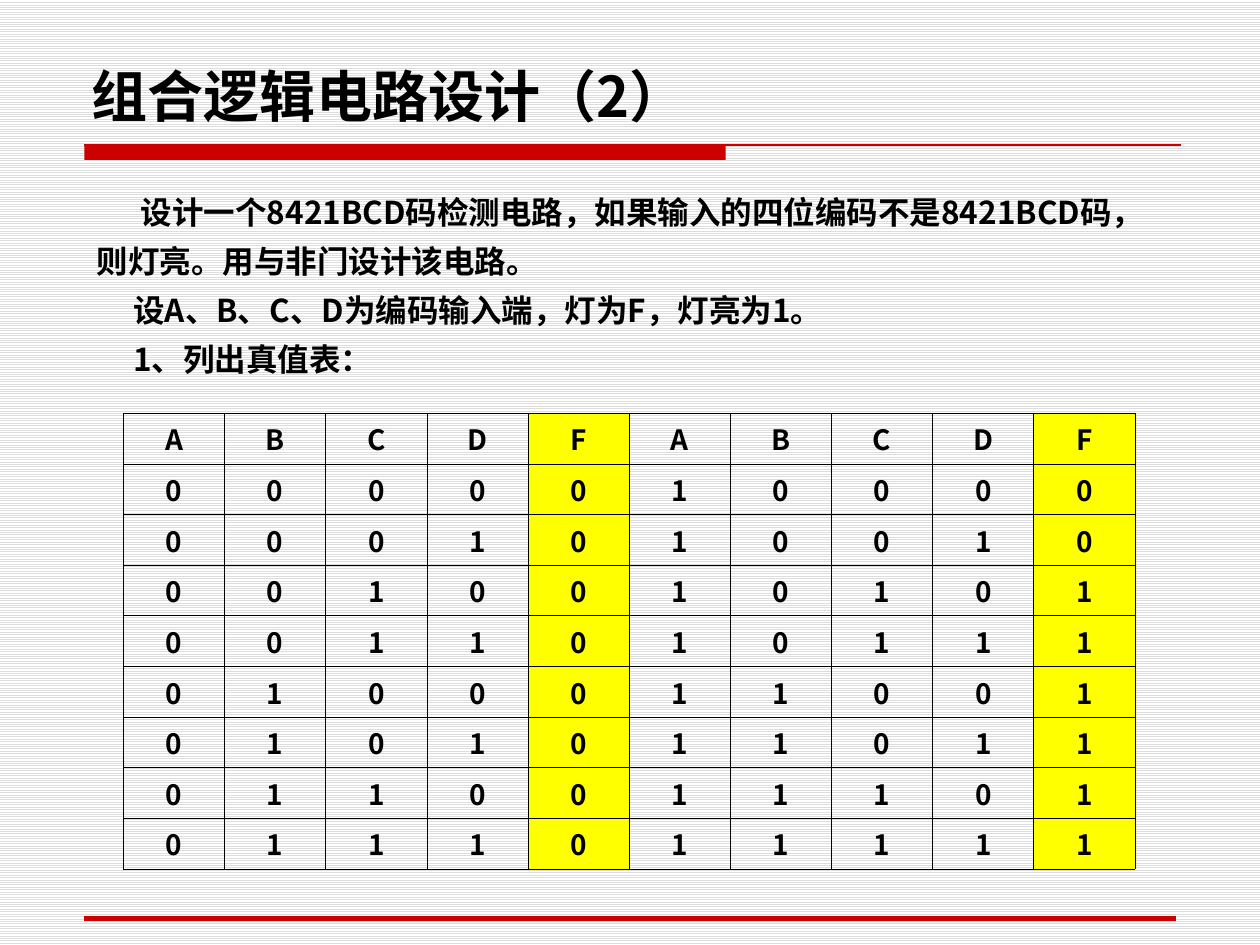
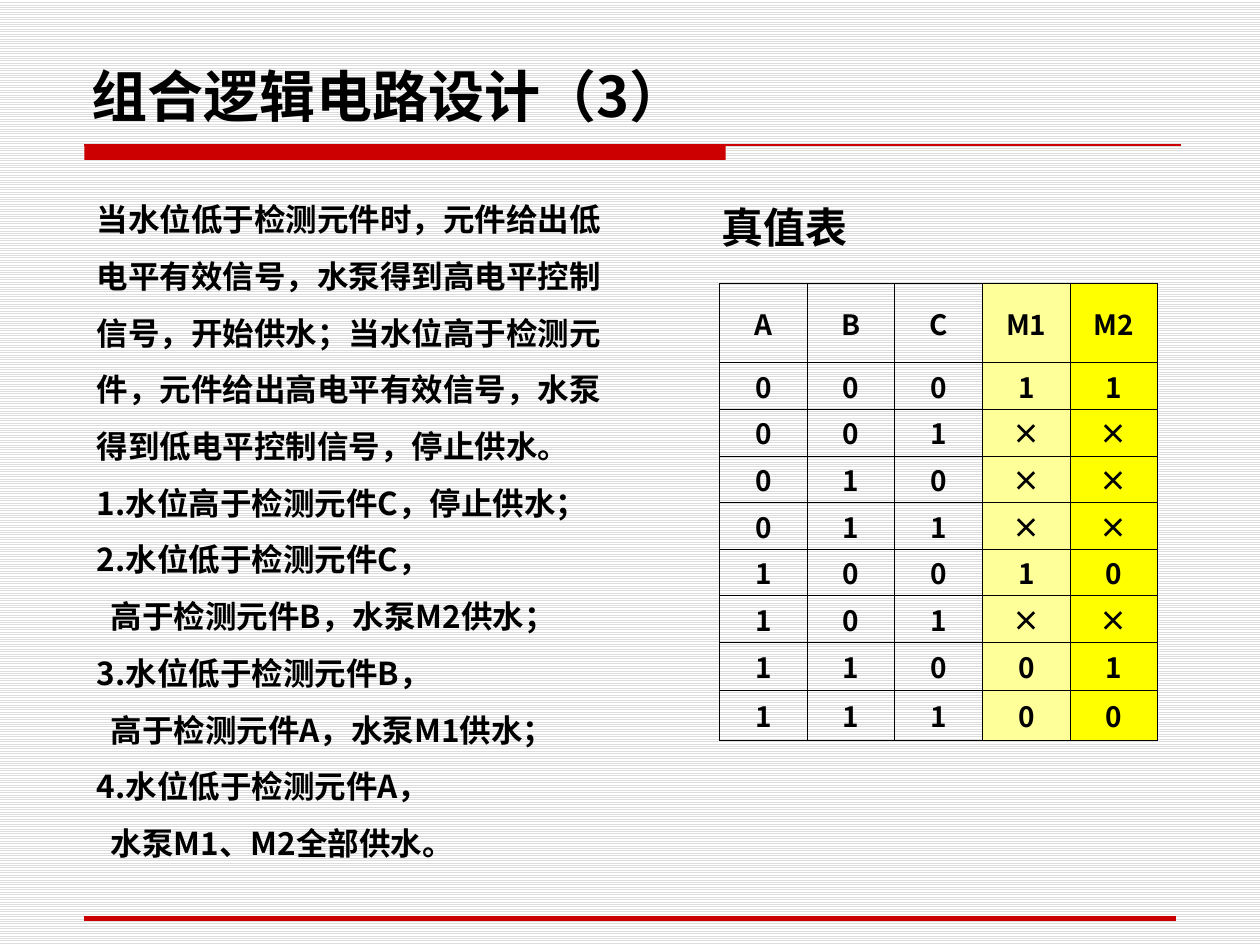
from dataclasses import dataclass
from itertools import product

from lxml.etree import SubElement
from pptx import Presentation
from pptx.dml.color import RGBColor
from pptx.enum.dml import MSO_PATTERN
from pptx.enum.shapes import MSO_CONNECTOR, MSO_SHAPE
from pptx.enum.text import MSO_ANCHOR, MSO_AUTO_SIZE, PP_ALIGN
from pptx.oxml.ns import qn
from pptx.util import Inches, Pt


@dataclass(frozen=True)
class Theme:
    ink: str = "000000"
    red: str = "CC0000"
    yellow: str = "FFFF00"
    pale_yellow: str = "FFFF99"
    stripe: str = "DDDDDD"
    paper: str = "FFFFFF"
    font: str = "Noto Sans CJK SC"
    caption_font: str = "DejaVu Sans"
    title_size: int = 32
    caption_size: int = 24
    body_size: int = 18
    cell_size: int = 16


THEME = Theme()


def rgb(value):
    return RGBColor.from_string(value)


def write(frame, *lines, size=THEME.body_size, font=THEME.font, align=PP_ALIGN.LEFT,
          spacing=None, before=None, indents=()):
    """Fill a text frame with one paragraph per line."""
    for index, line in enumerate(lines):
        paragraph = frame.paragraphs[0] if index == 0 else frame.add_paragraph()
        paragraph.alignment = align
        if spacing:
            paragraph.line_spacing = spacing
        if before:
            paragraph.space_before = Pt(before)
        if indents and indents[index]:
            paragraph._p.get_or_add_pPr().set("indent", str(Inches(indents[index])))
        run = paragraph.add_run()
        run.text = line
        run.font.size = Pt(size)
        run.font.bold = True
        run.font.color.rgb = rgb(THEME.ink)
        run.font.name = font
        east_asian = SubElement(run._r.get_or_add_rPr(), qn("a:ea"))
        east_asian.set("typeface", font)


def add_text(slide, box, *lines, wrap=True, **text_format):
    frame = slide.shapes.add_textbox(*map(Inches, box)).text_frame
    frame.word_wrap = wrap
    frame.auto_size = MSO_AUTO_SIZE.SHAPE_TO_FIT_TEXT
    write(frame, *lines, **text_format)


def add_rule(slide, left, right, y, weight):
    rule = slide.shapes.add_connector(
        MSO_CONNECTOR.STRAIGHT, Inches(left), Inches(y), Inches(right), Inches(y))
    rule.line.color.rgb = rgb(THEME.red)
    rule.line.width = Pt(weight)
    SubElement(rule._element.spPr, qn("a:effectLst"))


def add_title_band(slide, left, top, width):
    """Thick red bar under the title, continued by a thin line."""
    bar = slide.shapes.add_shape(
        MSO_SHAPE.RECTANGLE, *map(Inches, (left, top, 5.09, 0.12)))
    bar.shadow.inherit = False
    bar.fill.solid()
    bar.fill.fore_color.rgb = rgb(THEME.red)
    bar.line.fill.background()
    add_rule(slide, left, left + width, top, 0.75)


def add_page(prs, heading):
    """Striped page with title, title band and footer line."""
    slide = prs.slides.add_slide(prs.slide_layouts[5])
    stripes = slide.background.fill
    stripes.patterned()
    stripes.pattern = MSO_PATTERN.LIGHT_HORIZONTAL
    stripes.fore_color.rgb = rgb(THEME.stripe)
    stripes.back_color.rgb = rgb(THEME.paper)
    add_title_band(slide, 0.67, 1.15, 8.7)
    add_rule(slide, 0.67, 9.33, 7.29, 3)

    title = slide.shapes.title
    title.left, title.top, title.width, title.height = map(Inches, (0.63, 0.33, 8.75, 0.74))
    title.text_frame.auto_size = MSO_AUTO_SIZE.NONE
    title.text_frame.vertical_anchor = MSO_ANCHOR.BOTTOM
    write(title.text_frame, heading, size=THEME.title_size)
    return slide


def set_borders(cell):
    """Thin black lines on all four sides, placed ahead of the cell fill."""
    properties = cell._tc.get_or_add_tcPr()
    for position, side in enumerate(("a:lnL", "a:lnR", "a:lnT", "a:lnB")):
        border = SubElement(properties, qn(side), w=str(Pt(0.5)))
        color = SubElement(SubElement(border, qn("a:solidFill")), qn("a:srgbClr"))
        color.set("val", THEME.ink)
        properties.insert(position, border)


def add_truth_table(slide, box, rows, row_heights, output_fills):
    """Truth table; output_fills maps an output column to its colour."""
    table = slide.shapes.add_table(len(rows), len(rows[0]), *map(Inches, box)).table
    table.first_row = table.horz_banding = False
    for column in table.columns:
        column.width = Inches(box[2] / len(rows[0]))
    for r, (values, height) in enumerate(zip(rows, row_heights)):
        table.rows[r].height = Inches(height)
        for c, value in enumerate(values):
            cell = table.cell(r, c)
            cell.vertical_anchor = MSO_ANCHOR.MIDDLE
            cell.margin_top = cell.margin_bottom = 0
            if c in output_fills:
                cell.fill.solid()
                cell.fill.fore_color.rgb = rgb(output_fills[c])
            else:
                cell.fill.background()
            set_borders(cell)
            write(cell.text_frame, value, size=THEME.cell_size, align=PP_ALIGN.CENTER,
                  before=0.2 * THEME.cell_size)


def add_bcd_slide(prs):
    slide = add_page(prs, "组合逻辑电路设计（2）")
    add_text(
        slide, (0.67, 1.39, 8.66, 1.66),
        "设计一个8421BCD码检测电路，如果输入的四位编码不是8421BCD码，则灯亮。用与非门设计该电路。",
        "设A、B、C、D为编码输入端，灯为F，灯亮为1。",
        "1、列出真值表：",
        spacing=1.3, indents=(0.35, 0.29, 0.29))

    # The lamp F lights for codes above 9; codes 0-7 stand beside codes 8-15
    codes = [f"{code:04b}{int(code > 9)}" for code in range(16)]
    rows = ["ABCDF" * 2] + [low + high for low, high in zip(codes[:8], codes[8:])]
    add_truth_table(slide, (0.98, 3.28, 8.03, 3.62), rows, [3.62 / 9] * 9,
                    {4: THEME.yellow, 9: THEME.yellow})


def add_pump_slide(prs):
    slide = add_page(prs, "组合逻辑电路设计（3）")
    add_text(
        slide, (0.67, 1.39, 4.41, 5.5),
        "当水位低于检测元件时，元件给出低电平有效信号，水泵得到高电平控制信号，开始供水；"
        "当水位高于检测元件，元件给出高电平有效信号，水泵得到低电平控制信号，停止供水。",
        "1.水位高于检测元件C，停止供水；",
        "2.水位低于检测元件C，",
        "高于检测元件B，水泵M2供水；",
        "3.水位低于检测元件B，",
        "高于检测元件A，水泵M1供水；",
        "4.水位低于检测元件A，",
        "水泵M1、M2全部供水。",
        spacing=1.5, indents=(0, 0, 0, 0.11, 0, 0.11, 0, 0.11))

    # Pump outputs M1 M2 for each sensor state; × is an impossible state
    pumps = ("11", "××", "××", "××", "10", "××", "01", "00")
    rows = [("A", "B", "C", "M1", "M2")]
    rows += [(*sensors, *outputs) for sensors, outputs in zip(product("01", repeat=3), pumps)]
    add_truth_table(slide, (5.71, 2.25, 3.48, 3.61), rows,
                    [0.63] + [0.37] * 6 + [0.38, 0.4],
                    {3: THEME.pale_yellow, 4: THEME.yellow})
    add_text(slide, (5.63, 1.55, 1.2, 0.5), "真值表", wrap=False,
             size=THEME.caption_size, font=THEME.caption_font)


def main():
    prs = Presentation()
    prs.slide_width, prs.slide_height = Inches(10), Inches(7.5)
    add_bcd_slide(prs)
    add_pump_slide(prs)
    prs.save("out.pptx")


if __name__ == "__main__":
    main()
